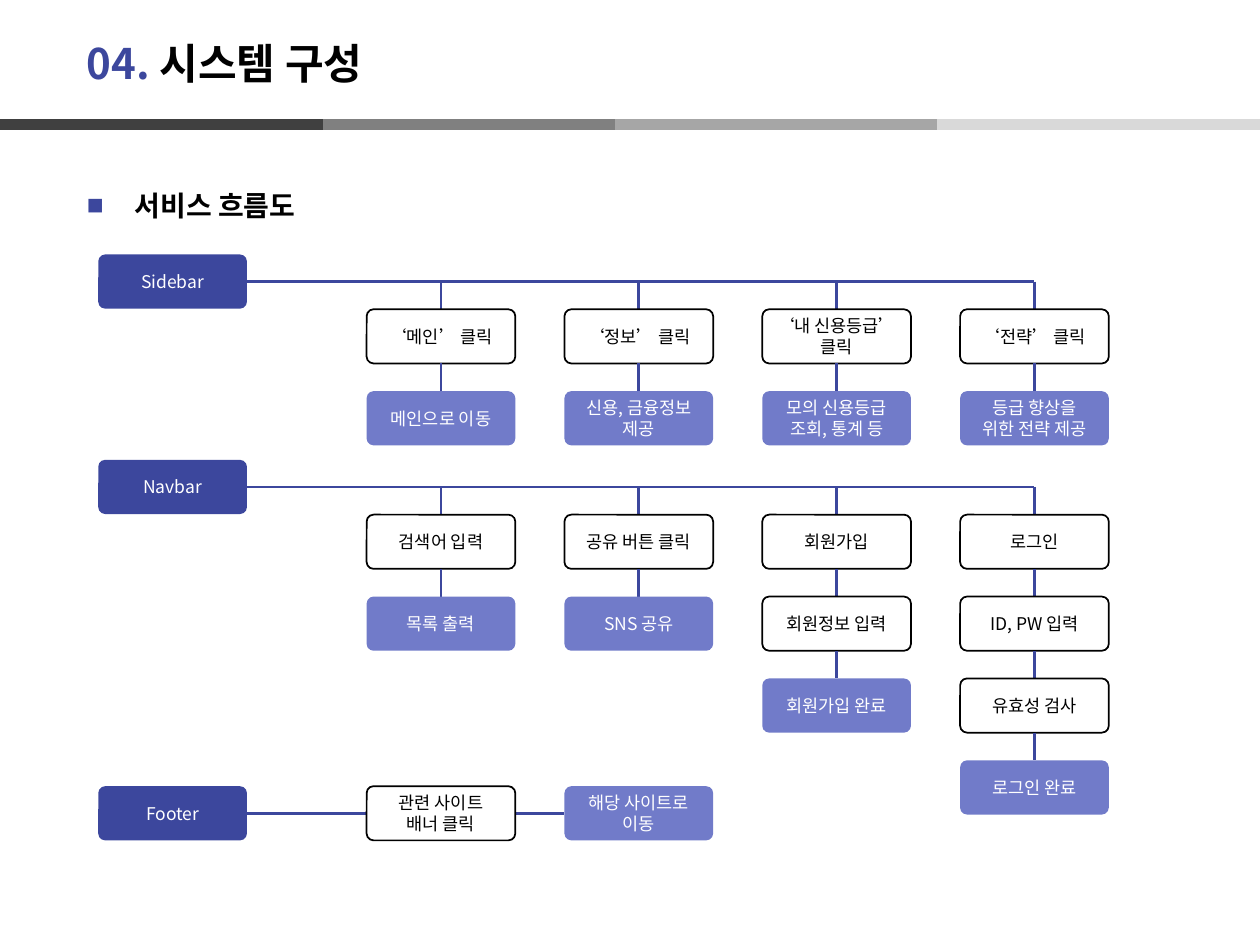
from lxml import etree
from pptx import Presentation
from pptx.dml.color import RGBColor
from pptx.enum.shapes import MSO_CONNECTOR, MSO_SHAPE
from pptx.enum.text import MSO_ANCHOR, MSO_AUTO_SIZE, PP_ALIGN
from pptx.oxml.ns import qn
from pptx.util import Inches, Pt

STRAIGHT, ROUND = MSO_CONNECTOR.STRAIGHT, MSO_SHAPE.ROUNDED_RECTANGLE
MIDDLE, TOP = MSO_ANCHOR.MIDDLE, MSO_ANCHOR.TOP
LEFT, CENTER = PP_ALIGN.LEFT, PP_ALIGN.CENTER
FIXED = MSO_AUTO_SIZE.NONE

BLUE = RGBColor(0x3C, 0x47, 0x9D)
PALE = RGBColor(0x71, 0x7B, 0xC9)
BLACK = RGBColor(0, 0, 0)
WHITE = RGBColor(0xFF, 0xFF, 0xFF)
GREYS = [RGBColor(v, v, v) for v in (0x80, 0xA6, 0xD9, 0x40)]
FONT = "Noto Sans CJK KR"

# Grid of the flow chart, in inches
ROOT = 0.78
COL, STEP = 2.91, 1.57
WIDE, HIGH = 1.18, 0.43
GAP = 0.22
ROW = HIGH + GAP

deck = Presentation()
deck.slide_width, deck.slide_height = Inches(10), Inches(7.5)
slide = deck.slides.add_slide(deck.slide_layouts[1])
shapes = slide.shapes


def line(x1, y1, x2, y2, color=BLUE, width=1.5):
    link = shapes.add_connector(
        STRAIGHT, Inches(x1), Inches(y1), Inches(x2), Inches(y2))
    link.line.color.rgb = color
    link.line.width = Pt(width)
    etree.SubElement(link._element.spPr, qn("a:effectLst"))


def box(x, y, text, fill=None):
    """Add a step; without a fill it is outlined in black."""
    step = shapes.add_shape(
        ROUND, Inches(x), Inches(y), Inches(WIDE), Inches(HIGH))
    step.adjustments[0] = 0.127
    step.shadow.inherit = False
    if fill is None:
        step.fill.background()
        step.line.color.rgb = BLACK
        step.line.width = Pt(1)
    else:
        step.fill.solid()
        step.fill.fore_color.rgb = fill
        step.line.fill.background()
    frame = step.text_frame
    frame.word_wrap = True
    frame.vertical_anchor = MIDDLE
    frame.text = text
    for para in frame.paragraphs:
        para.alignment = CENTER
        para.font.name, para.font.size = FONT, Pt(10)
        para.font.color.rgb = BLACK if fill is None else WHITE


# Rule under the title: the dark first part lies over the second
for start, grey in zip((2.32, 4.88, 7.44, 0), GREYS):
    line(start, 0.99, start + 2.56, 0.99, grey, 6)

title = shapes.title
title.left, title.top = Inches(0.59), Inches(0.2)
title.width, title.height = Inches(7.48), Inches(0.6)
frame = title.text_frame
frame.auto_size, frame.vertical_anchor = FIXED, MIDDLE
para = frame.paragraphs[0]
para.alignment = LEFT
para.font.name, para.font.size, para.font.bold = FONT, Pt(24), True
for text, color in (("04. ", BLUE), ("시스템 구성", BLACK)):
    run = para.add_run()
    run.text = text
    run.font.color.rgb = color

body = slide.placeholders[1]
body.left, body.top = Inches(0.59), Inches(1.31)
body.width, body.height = Inches(2.05), Inches(0.52)
frame = body.text_frame
frame.auto_size, frame.vertical_anchor = FIXED, TOP
frame.text = "서비스 흐름도"
para = frame.paragraphs[0]
para.line_spacing, para.space_before = 1.5, Pt(0)
props = para._p.get_or_add_pPr()
props.set("marL", str(Inches(0.38)))
props.set("indent", str(-Inches(0.38)))
tint = etree.SubElement(props, qn("a:buClr"))
etree.SubElement(tint, qn("a:srgbClr"), val=str(BLUE))
etree.SubElement(props, qn("a:buFont"), typeface="Arial")
etree.SubElement(props, qn("a:buChar"), char="■")
para.font.name, para.font.size, para.font.bold = "Arial", Pt(16), True
para.font.color.rgb = BLACK

# Each chain runs downwards and ends in a filled step
trees = [
    (2.02, "Sidebar", [
        ["‘메인’ 클릭", "메인으로 이동"],
        ["‘정보’ 클릭", "신용, 금융정보 제공"],
        ["‘내 신용등급’ 클릭", "모의 신용등급 조회, 통계 등"],
        ["‘전략’ 클릭", "등급 향상을 위한 전략 제공"],
    ]),
    (3.65, "Navbar", [
        ["검색어 입력", "목록 출력"],
        ["공유 버튼 클릭", "SNS 공유"],
        ["회원가입", "회원정보 입력", "회원가입 완료"],
        ["로그인", "ID, PW 입력", "유효성 검사", "로그인 완료"],
    ]),
]
for top, name, chains in trees:
    bus = top + HIGH / 2
    last = COL + (len(chains) - 1) * STEP + WIDE / 2
    line(ROOT + WIDE, bus, last, bus)
    box(ROOT, top, name, BLUE)
    for col, chain in enumerate(chains):
        x = COL + col * STEP
        mid = x + WIDE / 2
        for row, text in enumerate(chain):
            y = bus + GAP + row * ROW
            line(mid, y - GAP, mid, y)
            box(x, y, text, PALE if text == chain[-1] else None)

# The footer chain runs sideways
top = 6.24
mid = top + HIGH / 2
line(ROOT + WIDE, mid, COL, mid)
line(COL + WIDE, mid, COL + STEP, mid)
box(ROOT, top, "Footer", BLUE)
box(COL, top, "관련 사이트\n배너 클릭")
box(COL + STEP, top, "해당 사이트로 이동", PALE)

deck.save("out.pptx")
